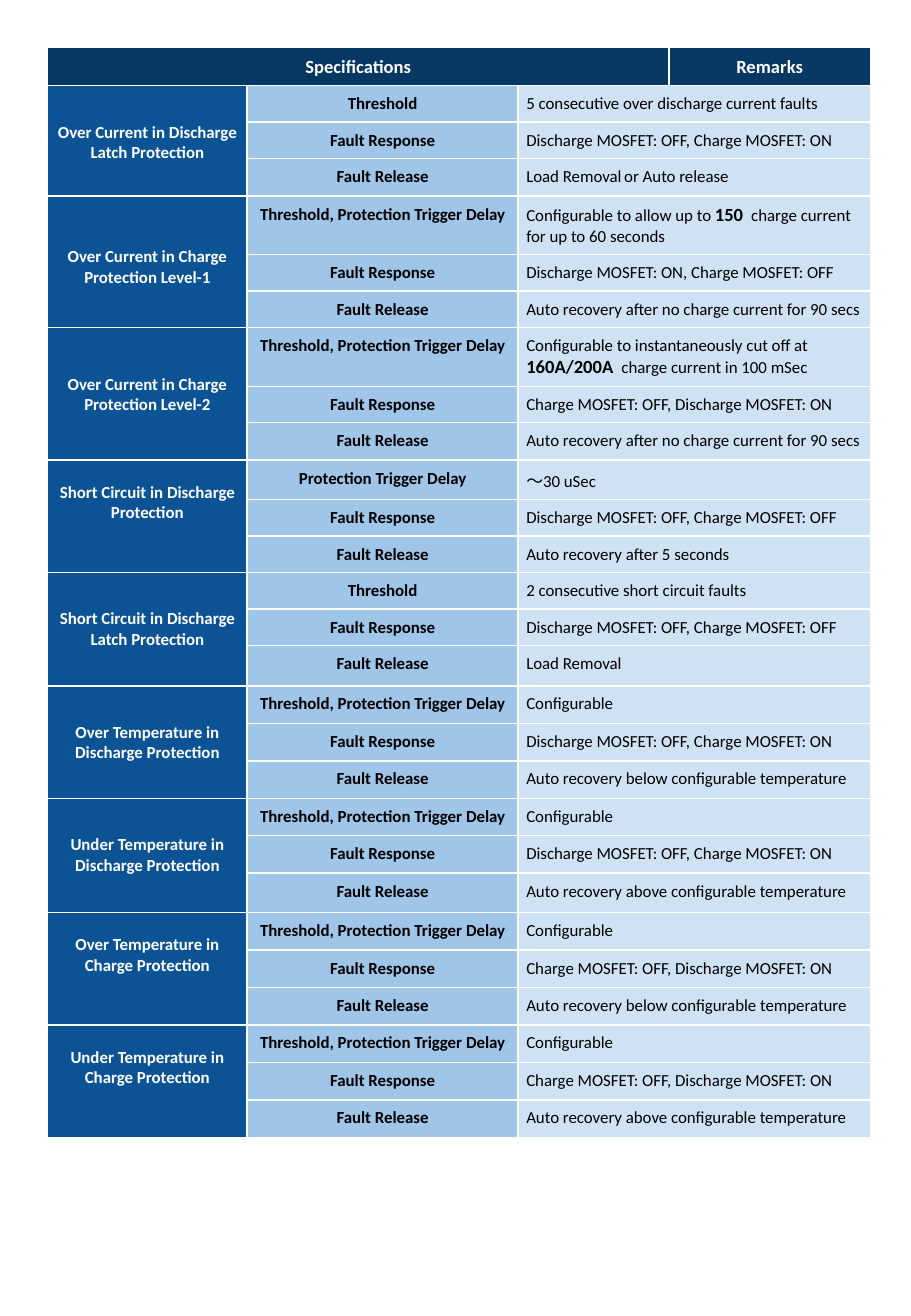
from lxml.etree import SubElement
from pptx import Presentation
from pptx.dml.color import RGBColor
from pptx.enum.text import PP_ALIGN
from pptx.oxml import parse_xml
from pptx.oxml.ns import nsdecls
from pptx.util import Pt

PX = 7620  # 120 px to the inch
THEME = {
    "font": "Calibri",
    "header": "073763", "group": "0B5394", "item": "9FC5E8", "remark": "CFE2F3",
    "light": "FFFFFF", "dark": "000000",
    "large": 11, "normal": 10, "small": 7, "border": 1,
}
DELAY = "Threshold, Protection Trigger Delay"
ON_OFF = "Discharge MOSFET: ON, Charge MOSFET: OFF"
OFF_ON = "Discharge MOSFET: OFF, Charge MOSFET: ON"
OFF_OFF = "Discharge MOSFET: OFF, Charge MOSFET: OFF"
CHARGE_OFF = "Charge MOSFET: OFF, Discharge MOSFET: ON"
NO_CHARGE = "Auto recovery after no charge current for 90 secs"
BELOW = "Auto recovery below configurable temperature"
ABOVE = "Auto recovery above configurable temperature"

# Group name, space above it, row heights, first item, its remark, response, release
# A remark of several formats is a list of (text, size, bold)
GROUPS = [
    ("Over Current in Discharge Latch Protection", 36, (36, 36, 37), "Threshold",
     "5 consecutive over discharge current faults", OFF_ON,
     [("Load Removal", "normal", False), (" ", "small", False),
      ("or Auto release", "normal", False)]),
    ("Over Current in Charge Protection Level-1", 50, (58, 36, 36), DELAY,
     [("Configurable to allow up to ", "normal", False), ("150 ", "large", True),
      (" charge current for up to 60 seconds", "normal", False)], ON_OFF, NO_CHARGE),
    ("Over Current in Charge Protection Level-2", 46, (58, 36, 37), DELAY,
     [("Configurable to instantaneously cut off at ", "normal", False),
      ("160A/200A ", "large", True),
      (" charge current in 100 mSec", "normal", False)], CHARGE_OFF, NO_CHARGE),
    ("Short Circuit in Discharge Protection", 22, (36, 36, 36),
     "Protection Trigger Delay", "～30 uSec", OFF_OFF, "Auto recovery after 5 seconds"),
    ("Short Circuit in Discharge Latch Protection", 36, (36, 36, 40), "Threshold",
     "2 consecutive short circuit faults", OFF_OFF, "Load Removal"),
    ("Over Temperature in Discharge Protection", 36, (37, 37, 37), DELAY,
     "Configurable", OFF_ON, BELOW),
    ("Under Temperature in Discharge Protection", 36, (37, 37, 39), DELAY,
     "Configurable", OFF_ON, ABOVE),
    ("Over Temperature in Charge Protection", 22, (37, 37, 37), DELAY,
     "Configurable", CHARGE_OFF, BELOW),
    ("Under Temperature in Charge Protection", 22, (37, 37, 37), DELAY,
     "Configurable", CHARGE_OFF, ABOVE),
]


def write(cell, text, size="normal", color="dark", bold=False, align=PP_ALIGN.CENTER, top=8):
    cell.margin_left = cell.margin_right = 8 * PX
    cell.margin_top, cell.margin_bottom = top * PX, 7 * PX
    para = cell.text_frame.paragraphs[0]
    para.alignment = align
    parts = [(text, size, bold)] if isinstance(text, str) else text
    for words, span_size, span_bold in parts:
        span = para.add_run()
        span.text = words
        span.font.name = THEME["font"]
        span.font.size = Pt(THEME[span_size])
        span.font.bold = span_bold
        span.font.color.rgb = RGBColor.from_string(THEME[color])


# Page
deck = Presentation()
deck.slide_width, deck.slide_height = 900 * PX, 1300 * PX
page = deck.slides.add_slide(deck.slide_layouts[6])

# Table grid
widths = [197, 268, 149, 199]
heights = [37] + [height for group in GROUPS for height in group[2]]
frame = page.shapes.add_table(len(heights), len(widths), 47 * PX, 47 * PX,
                              sum(widths) * PX, sum(heights) * PX)
table = frame.table
table.first_row = table.horz_banding = False
for column, width in zip(table.columns, widths):
    column.width = width * PX
for row, height in zip(table.rows, heights):
    row.height = height * PX

# Fills and white borders
for row_index, row in enumerate(table.rows):
    fills = ["header"] * 4 if row_index == 0 else ["group", "item", "remark", "remark"]
    for cell, fill in zip(row.cells, fills):
        cell.fill.solid()
        cell.fill.fore_color.rgb = RGBColor.from_string(THEME[fill])
        properties = cell._tc.get_or_add_tcPr()
        for position, side in enumerate(["lnL", "lnR", "lnT", "lnB"]):
            line = parse_xml(f'<a:{side} {nsdecls("a")} w="{Pt(THEME["border"])}"><a:solidFill>'
                             f'<a:srgbClr val="{THEME["light"]}"/></a:solidFill></a:{side}>')
            properties.insert(position, line)

# Header row
table.cell(0, 0).merge(table.cell(0, 2))
for column_index, heading in [(0, "Specifications"), (3, "Remarks")]:
    write(table.cell(0, column_index), heading, size="large", color="light", bold=True)

# Protection groups, three rows each
for group_index, (name, top, _, item, remark, response, release) in enumerate(GROUPS):
    first = 1 + 3 * group_index
    table.cell(first, 0).merge(table.cell(first + 2, 0))
    write(table.cell(first, 0), name, color="light", bold=True, top=top)
    rows = [(item, remark), ("Fault Response", response), ("Fault Release", release)]
    for row_index, (label, detail) in enumerate(rows, first):
        table.cell(row_index, 2).merge(table.cell(row_index, 3))
        write(table.cell(row_index, 1), label, bold=True)
        write(table.cell(row_index, 2), detail, align=PP_ALIGN.LEFT)

deck.save("out.pptx")
